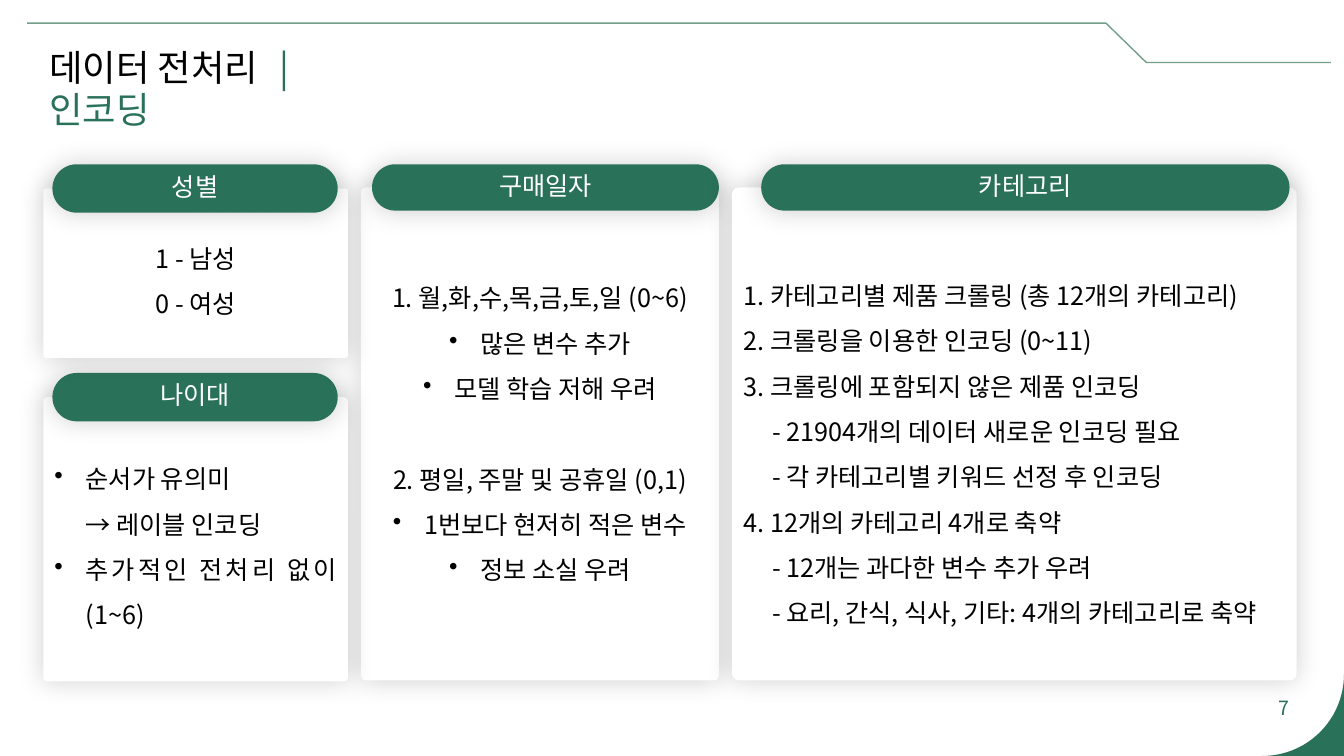
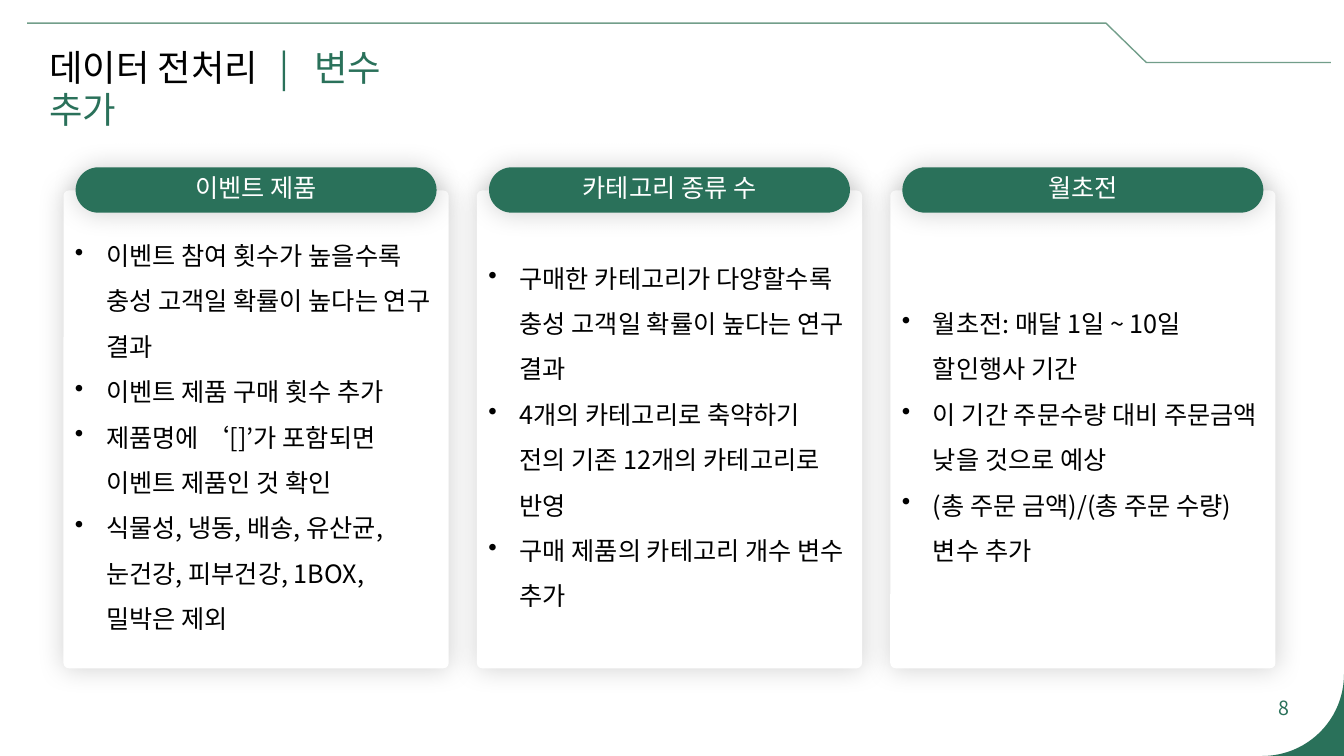
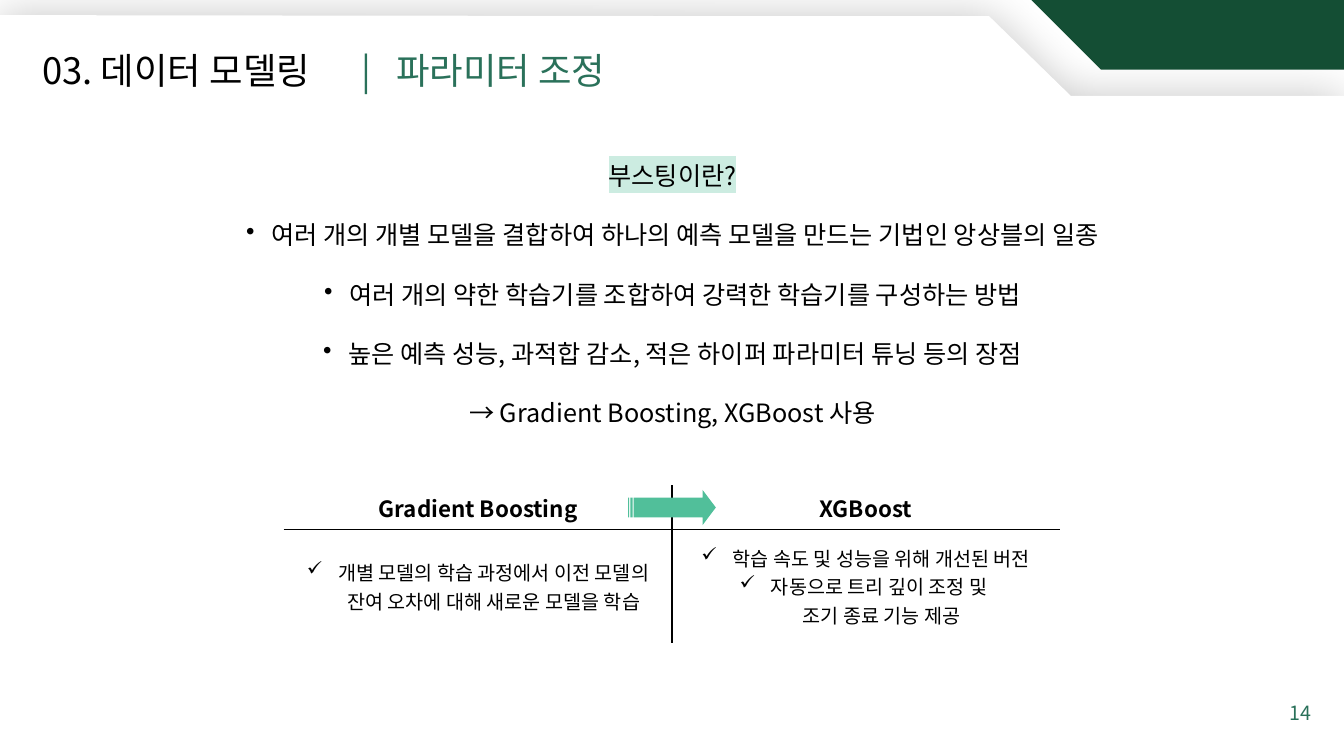
from math import cos, pi, sin
from lxml.etree import SubElement
from pptx import Presentation
from pptx.dml.color import RGBColor
from pptx.enum.shapes import MSO_SHAPE
from pptx.enum.text import MSO_ANCHOR, PP_ALIGN
from pptx.oxml.ns import qn
from pptx.util import Inches, Pt

FONT = "Noto Sans CJK KR"
INK = RGBColor(0x00, 0x00, 0x00)
WHITE = RGBColor(0xFF, 0xFF, 0xFF)
GREEN = RGBColor(0x2A, 0x71, 0x5A)
SAGE = RGBColor(0x72, 0x9E, 0x8A)
FOREST = RGBColor(0x14, 0x4E, 0x34)
MINT = RGBColor(0x51, 0xBF, 0x9A)
PALE_MINT = RGBColor(0xCC, 0xEC, 0xE1)

WIDTH, HEIGHT = 13.33, 7.5
BODY_LEADING, SINGLE = Pt(32.4), 1.0
LEFT, CENTER = PP_ALIGN.LEFT, PP_ALIGN.CENTER
TOP, MIDDLE, BOTTOM = MSO_ANCHOR.TOP, MSO_ANCHOR.MIDDLE, MSO_ANCHOR.BOTTOM

deck = Presentation()
deck.slide_width, deck.slide_height = Inches(WIDTH), Inches(HEIGHT)


def paint(shape, fill=None, blur=0, alpha=0):
    """Fill a shape, drop its outline and give it a soft glow-like shadow."""
    shape.shadow.inherit = False
    shape.line.fill.background()
    if fill is None:
        shape.fill.background()
    else:
        shape.fill.solid()
        shape.fill.fore_color.rgb = fill
    if blur:
        effects = shape._element.spPr.find(qn("a:effectLst"))
        shadow = SubElement(effects, qn("a:outerShdw"), blurRad=str(Pt(blur)), dist="0",
                            dir="0", algn="ctr", rotWithShape="0")
        tint = SubElement(shadow, qn("a:srgbClr"), val=str(INK))
        SubElement(tint, qn("a:alpha"), val=str(alpha * 1000))


def write(frame, lines, size=18, leading=BODY_LEADING, colors=(INK,), align=LEFT,
          hang=0.31, before=0, tabs=(), bold=False):
    """Each line is a mark (bullet, "indent", "gap", "justify") and its spans."""
    frame.word_wrap = True
    for number, (mark, *spans) in enumerate(lines):
        para = frame.paragraphs[0] if number == 0 else frame.add_paragraph()
        para.alignment = PP_ALIGN.JUSTIFY if mark == "justify" else align
        para.line_spacing = leading
        if number and before:
            para.space_before = Pt(before)
        elif mark == "gap":
            para.space_before = leading
        properties = para._p.get_or_add_pPr()
        bullet = "•" if mark == "justify" else mark
        if bullet in ("•", "✓"):
            properties.set("marL", str(Inches(hang)))
            properties.set("indent", str(-Inches(hang)))
            SubElement(properties, qn("a:buChar"), char=bullet)
        elif mark == "indent":
            properties.set("indent", str(Inches(0.28)))
        if tabs:
            stops = SubElement(properties, qn("a:tabLst"))
            for stop in tabs:
                SubElement(stops, qn("a:tab"), pos=str(Inches(stop)), algn="l")
        for text, color in zip(spans, colors):
            for row, part in enumerate(text.split("\v")):
                if row:
                    para.add_line_break()
                span = para.add_run()
                span.text = part
                span.font.size, span.font.bold = Pt(size), bold
                span.font.color.rgb = color
                span.font.name = FONT
                SubElement(span._r.rPr, qn("a:ea"), typeface=FONT)


# Outlines: points, closed, fill, line, shadow blur, shadow alpha
RADIUS = 0.81
corner = [(WIDTH, HEIGHT)] + [
    (WIDTH - RADIUS + RADIUS * cos(step * pi / 48), HEIGHT - RADIUS + RADIUS * sin(step * pi / 48))
    for step in range(25)]
rule = [(0.27, 0.23), (10.97, 0.23), (11.37, 0.62), (13.2, 0.62)]
sheet = [(0, 0.15), (7.31, 0.16), (9.81, 0.16), (10.62, 0.95), (WIDTH, 0.95),
         (WIDTH, HEIGHT), (0, HEIGHT)]
flag = [(10.23, 0), (WIDTH, 0), (WIDTH, 0.69), (10.92, 0.69)]
plain_frame = [(corner, True, GREEN, None, 0, 0), (rule, False, None, SAGE, 0, 0)]
chapter_frame = [(sheet, True, WHITE, None, 32, 21), (flag, True, FOREST, None, 0, 0)]

# Titles: spans, left, top, width, height, tab stops; page number: text, left, top
page_plans = [
    (plain_frame, ("데이터 전처리\t", "|\t인코딩"), 0.39, 0.42, 3.7, 0.94, (2.28, 2.63),
     "7", 12.58, 6.85),
    (plain_frame, ("데이터 전처리\t", "|\t변수 추가"), 0.39, 0.42, 4.1, 0.94, (2.28, 2.63),
     "8", 12.58, 6.85),
    (chapter_frame, ("03. 데이터 모델링\t", "|\t파라미터 조정"), 0.32, 0.44, 5.9, 0.54,
     (3.17, 3.51), "14", 12.69, 6.9),
]
pages = []
for outlines, title, left, top, width, height, tabs, number, number_left, number_top in page_plans:
    page = deck.slides.add_slide(deck.slide_layouts[6])
    pages.append(page)
    for points, closed, fill, line, blur, alpha in outlines:
        corners = [(Inches(x), Inches(y)) for x, y in points]
        builder = page.shapes.build_freeform(*corners[0])
        builder.add_line_segments(corners[1:], close=closed)
        outline = builder.convert_to_shape()
        paint(outline, fill, blur, alpha)
        if line is not None:
            outline.line.color.rgb, outline.line.width = line, Pt(1)
    box = page.shapes.add_textbox(Inches(left), Inches(top), Inches(width), Inches(height))
    write(box.text_frame, [("", *title)], 26, Pt(30), (INK, GREEN), tabs=tabs)
    box = page.shapes.add_textbox(Inches(number_left), Inches(number_top), Inches(0.45), Inches(0.4))
    write(box.text_frame, [("", number)], 14, SINGLE, (GREEN,))

# Cards: page, card area, pill area, heading, alignment, anchor, (top, bottom) inset, lines
NARROW = 0.05
cards = [
    (0, (3.58, 1.86, 3.55, 4.89), (3.69, 1.63, 3.44, 0.46), "구매일자", CENTER, TOP, (0.78, NARROW), [
        ("", "1. 월,화,수,목,금,토,일 (0~6)"),
        ("•", "많은 변수 추가"),
        ("•", "모델 학습 저해 우려"),
        ("gap", "2. 평일, 주말 및 공휴일 (0,1)"),
        ("•", "1번보다 현저히 적은 변수"),
        ("•", "정보 소실 우려")]),
    (0, (7.26, 1.86, 5.6, 4.89), (7.55, 1.63, 5.24, 0.46), "카테고리", LEFT, BOTTOM, (NARROW, 0.5), [
        ("", "1. 카테고리별 제품 크롤링 (총 12개의 카테고리)"),
        ("", "2. 크롤링을 이용한 인코딩 (0~11)"),
        ("", "3. 크롤링에 포함되지 않은 제품 인코딩"),
        ("indent", "- 21904개의 데이터 새로운 인코딩 필요"),
        ("indent", "- 각 카테고리별 키워드 선정 후 인코딩"),
        ("", "4. 12개의 카테고리 4개로 축약"),
        ("indent", "- 12개는 과다한 변수 추가 우려"),
        ("indent", "- 요리, 간식, 식사, 기타: 4개의 카테고리로 축약")]),
    (0, (0.43, 3.94, 3.02, 2.82), (0.52, 3.7, 2.83, 0.48), "나이대", LEFT, MIDDLE, (NARROW, NARROW), [
        ("•", "순서가 유의미\v→ 레이블 인코딩"),
        ("justify", "추가적인 전처리 없이 (1~6)")]),
    (0, (0.43, 1.87, 3.02, 1.68), (0.52, 1.63, 2.83, 0.48), "성별", CENTER, MIDDLE, (NARROW, NARROW), [
        ("", "1 - 남성"),
        ("", "0 - 여성")]),
]

# Three equal columns of the second page
columns = [
    ("이벤트 제품", [
        "이벤트 참여 횟수가 높을수록 충성 고객일 확률이 높다는 연구 결과",
        "이벤트 제품 구매 횟수 추가",
        "제품명에 ‘[]’가 포함되면 이벤트 제품인 것 확인",
        "식물성, 냉동, 배송, 유산균, 눈건강, 피부건강, 1BOX, 밀박은 제외"]),
    ("카테고리 종류 수", [
        "구매한 카테고리가 다양할수록 충성 고객일 확률이 높다는 연구 결과",
        "4개의 카테고리로 축약하기 전의 기존 12개의 카테고리로 반영",
        "구매 제품의 카테고리 개수 변수 추가"]),
    ("월초전", [
        "월초전: 매달 1일 ~ 10일 할인행사 기간",
        "이 기간 주문수량 대비 주문금액 낮을 것으로 예상",
        "(총 주문 금액)/(총 주문 수량) 변수 추가"]),
]
for column, (heading, texts) in enumerate(columns):
    left = 0.63 + column * 4.1
    cards.append((1, (left, 1.89, 3.82, 4.74), (left + 0.12, 1.66, 3.58, 0.45), heading, LEFT,
                  MIDDLE, (NARROW, NARROW), [("•", text) for text in texts]))

for index, area, pill_area, heading, align, anchor, insets, lines in cards:
    shapes = pages[index].shapes
    card = shapes.add_shape(MSO_SHAPE.ROUNDED_RECTANGLE, *map(Inches, area))
    card.adjustments[0] = 0.014
    paint(card, WHITE, 19, 19)
    frame = card.text_frame
    frame.vertical_anchor = anchor
    frame.margin_top, frame.margin_bottom = map(Inches, insets)
    write(frame, lines, align=align)
    pill = shapes.add_shape(MSO_SHAPE.ROUNDED_RECTANGLE, *map(Inches, pill_area))
    pill.adjustments[0] = 0.5
    paint(pill, GREEN, 19, 19)
    pill.text_frame.vertical_anchor = MIDDLE
    pill.text_frame.margin_top, pill.text_frame.margin_bottom = 0, Inches(NARROW)
    write(pill.text_frame, [("", heading)], leading=SINGLE, colors=(WHITE,), align=CENTER)

# Boosting summary
shapes = pages[2].shapes
summary = shapes.add_textbox(Inches(1.75), Inches(1.39), Inches(9.84), Inches(2.98))
write(summary.text_frame, [
    ("", "부스팅이란?"),
    ("•", "여러 개의 개별 모델을 결합하여 하나의 예측 모델을 만드는 기법인 앙상블의 일종"),
    ("•", "여러 개의 약한 학습기를 조합하여 강력한 학습기를 구성하는 방법"),
    ("•", "높은 예측 성능, 과적합 감소, 적은 하이퍼 파라미터 튜닝 등의 장점"),
    ("", "→ Gradient Boosting, XGBoost 사용")], align=CENTER, hang=0.25, before=10)
question = summary.text_frame.paragraphs[0].runs[0]._r.rPr
highlight = SubElement(question, qn("a:highlight"))
SubElement(highlight, qn("a:srgbClr"), val=str(PALE_MINT))
question.find(qn("a:latin")).addprevious(highlight)

# Comparison table with only its inner borders in black
cell_lines = [
    [[("", "Gradient Boosting")], [("", "XGBoost")]],
    [[("✓", "개별 모델의 학습 과정에서 이전 모델의 잔여 오차에 대해 새로운 모델을 학습")],
     [("✓", "학습 속도 및 성능을 위해 개선된 버전"),
      ("✓", "자동으로 트리 깊이 조정 및 \v조기 종료 기능 제공")]],
]
grid = shapes.add_table(2, 2, Inches(2.82), Inches(4.82), Inches(7.69), Inches(1.56)).table
grid.first_row = grid.horz_banding = False
grid.rows[0].height, grid.rows[1].height = Inches(0.43), Inches(1.13)
for row, line_row in enumerate(cell_lines):
    for column, lines in enumerate(line_row):
        cell = grid.cell(row, column)
        cell.vertical_anchor = MIDDLE
        header = row == 0
        write(cell.text_frame, lines, 16 if header else 14, SINGLE, align=CENTER, bold=header)
        inner = {"L": column == 1, "R": column == 0, "T": row == 1, "B": row == 0}
        for side, dark in inner.items():
            border = SubElement(cell._tc.get_or_add_tcPr(), qn("a:ln" + side), w=str(Pt(1)))
            border_fill = SubElement(border, qn("a:solidFill"))
            SubElement(border_fill, qn("a:srgbClr"), val=str(INK if dark else WHITE))
        cell.fill.background()

arrow = shapes.add_shape(MSO_SHAPE.STRIPED_RIGHT_ARROW, Inches(6.23), Inches(4.86),
                         Inches(0.87), Inches(0.35))
arrow.adjustments[0], arrow.adjustments[1] = 0.563, 0.376
paint(arrow, MINT)

deck.save("out.pptx")
